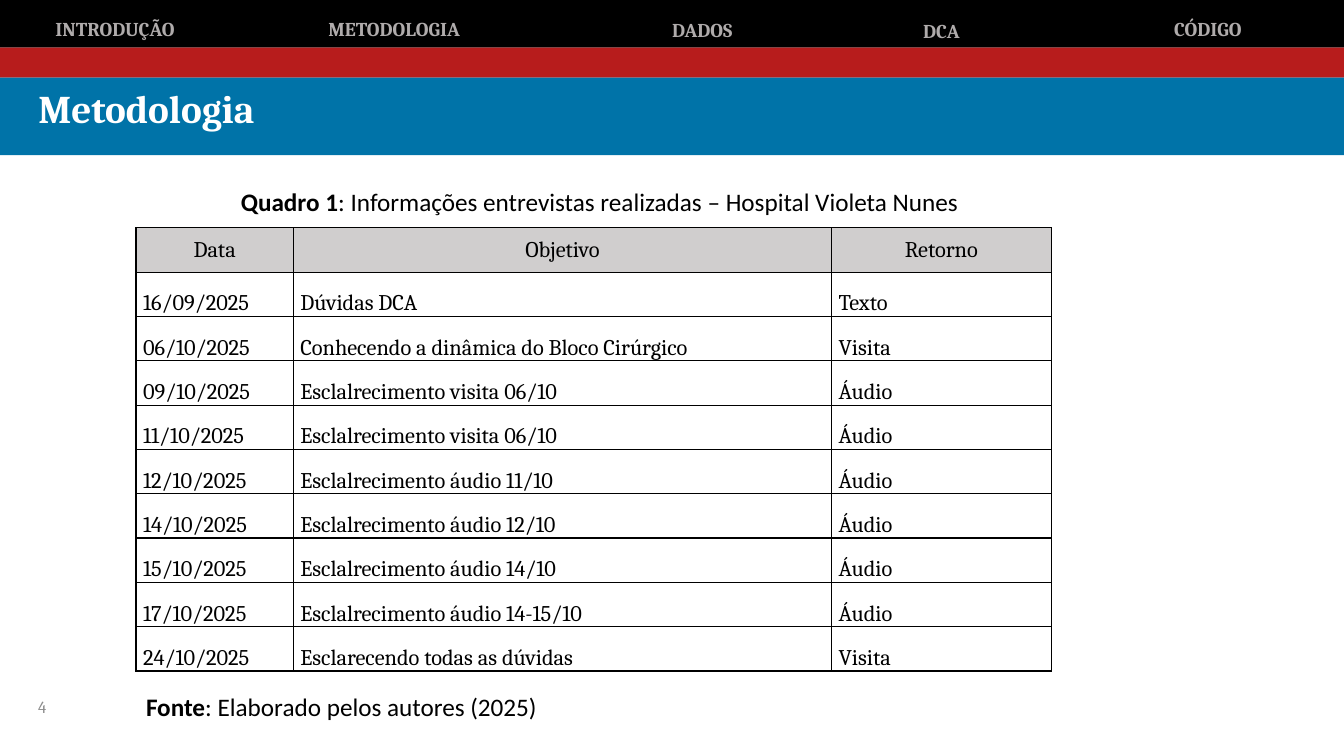
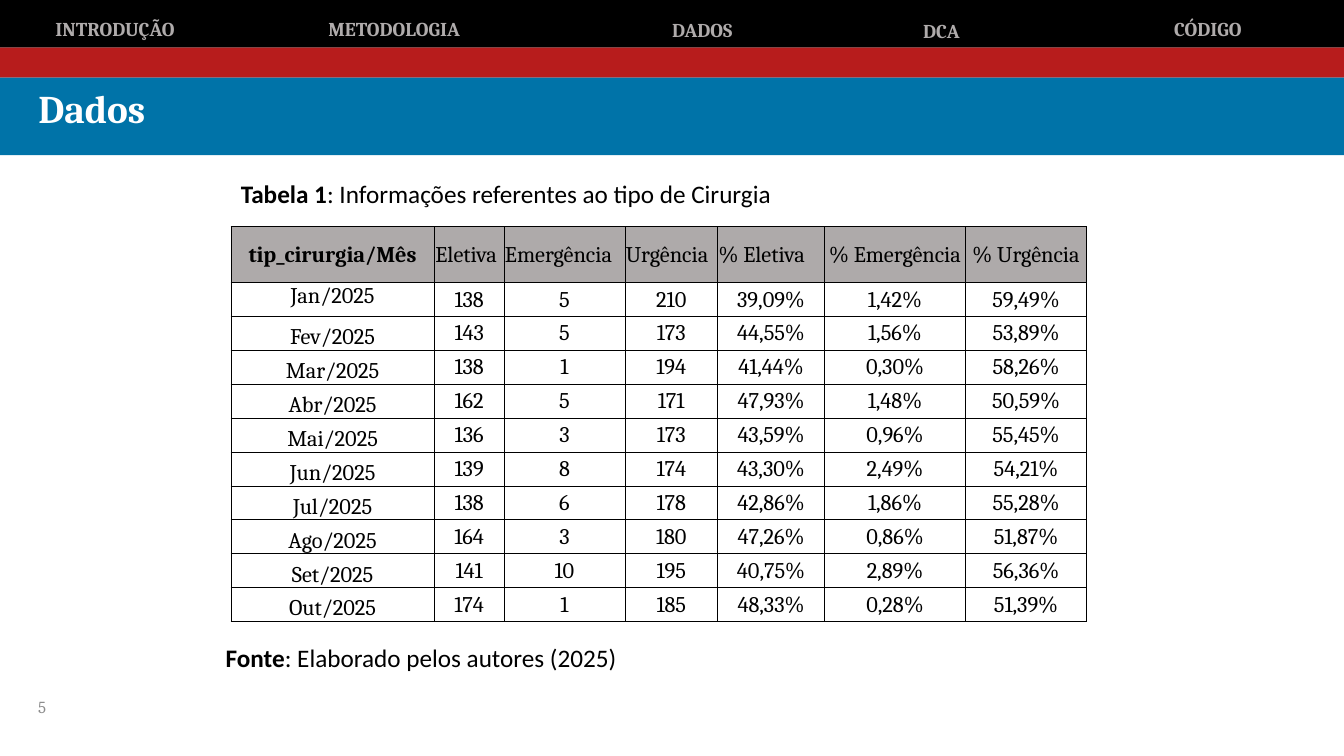
from dataclasses import dataclass

from lxml import etree
from pptx import Presentation
from pptx import util as u
from pptx.dml.color import RGBColor
from pptx.enum import shapes, text
from pptx.oxml import ns

PX = 3048
LEFT, CENTER = text.PP_ALIGN.LEFT, text.PP_ALIGN.CENTER
TOP, MIDDLE, BOTTOM = (text.MSO_ANCHOR.TOP, text.MSO_ANCHOR.MIDDLE,
                       text.MSO_ANCHOR.BOTTOM)


@dataclass(frozen=True)
class Theme:
    """Colours, fonts and type sizes of the deck."""
    black: str = "000000"
    red: str = "B71C1C"
    blue: str = "0073A8"
    white: str = "FFFFFF"
    tab: str = "AFABAB"
    number: str = "8C8C8C"
    light_head: str = "D0CECE"
    dark_head: str = "AEAAAA"
    serif: str = "Cambria"
    sans: str = "Calibri"
    title_size: int = 28
    caption_size: int = 18
    table_size: int = 16
    tab_size: int = 14
    number_size: int = 12


THEME = Theme()

BANDS = [(141, 90, THEME.red), (231, 231, THEME.blue), (0, 141, THEME.black)]
TABS = [
    ("INTRODUÇÃO", 135, 36, 513),
    ("METODOLOGIA", 948, 36, 717),
    ("DADOS", 1971, 39, 339),
    ("DCA", 2718, 42, 339),
    ("CÓDIGO", 3465, 36, 456),
]
INTERVIEWS = [
    ("Data", "Objetivo", "Retorno"),
    ("16/09/2025", "Dúvidas DCA", "Texto"),
    ("06/10/2025", "Conhecendo a dinâmica do Bloco Cirúrgico", "Visita"),
    ("09/10/2025", "Esclalrecimento visita 06/10", "Áudio"),
    ("11/10/2025", "Esclalrecimento visita 06/10", "Áudio"),
    ("12/10/2025", "Esclalrecimento áudio 11/10", "Áudio"),
    ("14/10/2025", "Esclalrecimento áudio 12/10", "Áudio"),
    ("15/10/2025", "Esclalrecimento áudio 14/10", "Áudio"),
    ("17/10/2025", "Esclalrecimento áudio 14-15/10", "Áudio"),
    ("24/10/2025", "Esclarecendo todas as dúvidas", "Visita"),
]
SURGERY_HEAD = ("tip_cirurgia/Mês", "Eletiva", "Emergência", "Urgência",
                "% Eletiva", "% Emergência", "% Urgência")
SURGERIES = {
    "Jan": (138, 5, 210),
    "Fev": (143, 5, 173),
    "Mar": (138, 1, 194),
    "Abr": (162, 5, 171),
    "Mai": (136, 3, 173),
    "Jun": (139, 8, 174),
    "Jul": (138, 6, 178),
    "Ago": (164, 3, 180),
    "Set": (141, 10, 195),
    "Out": (174, 1, 185),
}


def px(*lengths):
    """Turn px lengths into EMU."""
    return [u.Emu(length * PX) for length in lengths]


def write(para, content, size, font=THEME.serif, color=THEME.black,
          bold=False, align=LEFT):
    """Append one formatted run to a paragraph."""
    para.alignment = align
    span = para.add_run()
    span.text = content
    span.font.size = u.Pt(size)
    span.font.name = font
    span.font.bold = bold
    span.font.color.rgb = RGBColor.from_string(color)


def add_band(page, top, height, color):
    """Draw a full-width colour band."""
    band = page.shapes.add_shape(shapes.MSO_SHAPE.RECTANGLE,
                                 *px(0, top, 4000, height))
    band.shadow.inherit = False
    band.fill.solid()
    band.fill.fore_color.rgb = RGBColor.from_string(color)
    band.line.fill.background()
    return band


def add_box(page, place, anchor=TOP):
    """Add a wrapping text box at a left, top, width, height place."""
    box = page.shapes.add_textbox(*px(*place))
    box.text_frame.word_wrap = True
    box.text_frame.vertical_anchor = anchor
    return box


def add_tab(page, label, left, top, width):
    """Add one section label of the top band."""
    box = add_box(page, (left, top, width, 102))
    write(box.text_frame.paragraphs[0], label, THEME.tab_size,
          color=THEME.tab, bold=True)
    return box


def add_caption(page, place, label, content):
    """Add a caption with a bold label."""
    para = add_box(page, place).text_frame.paragraphs[0]
    for piece, bold in ((label, True), (f": {content}", False)):
        write(para, piece, THEME.caption_size, font=THEME.sans, bold=bold)


def place_title(title):
    """Move a title placeholder onto the blue band."""
    title.left, title.top, title.width, title.height = px(84, 252, 2724, 189)


def build_layout(page):
    """Move the shared bands and section labels to the layout of the page."""
    layout = page.slide_layout
    shared = [add_band(page, *band) for band in BANDS]
    shared += [add_tab(page, *tab) for tab in TABS]
    tree = layout.shapes.element
    for number, shape in enumerate(shared, 100):
        shape.element.xpath(".//p:cNvPr")[0].set("id", str(number))
        tree.append(shape.element)
    for holder in layout.placeholders:
        if holder.placeholder_format.idx == 0:
            place_title(holder)


def fill_frame(page, heading, number):
    """Write the title and the page number."""
    title = page.shapes.title
    place_title(title)
    frame = title.text_frame
    frame.word_wrap = True
    frame.auto_size = text.MSO_AUTO_SIZE.NONE
    frame.vertical_anchor = TOP
    para = frame.paragraphs[0]
    para.line_spacing = 0.9
    write(para, heading, THEME.title_size, color=THEME.white, bold=True)
    box = add_box(page, (84, 2043, 900, 120), MIDDLE)
    write(box.text_frame.paragraphs[0], str(number), THEME.number_size,
          color=THEME.number)


def set_borders(cell, points):
    """Draw black lines on the four sides of a cell."""
    props = cell._tc.get_or_add_tcPr()
    for index, side in enumerate(("lnL", "lnR", "lnT", "lnB")):
        line = etree.Element(ns.qn(f"a:{side}"), w=str(u.Pt(points)))
        fill = etree.SubElement(line, ns.qn("a:solidFill"))
        etree.SubElement(fill, ns.qn("a:srgbClr"), val=THEME.black)
        props.insert(index, line)


def add_grid(page, left, top, widths, heights, rows, head, border, insets,
             cell_format):
    """Add a table whose cell_format(row, column) gives anchor, align, bold."""
    place = px(left, top, sum(widths), sum(heights))
    table = page.shapes.add_table(len(rows), len(widths), *place).table
    table.horz_banding = False
    for column, width in zip(table.columns, px(*widths)):
        column.width = width
    for row, height in zip(table.rows, px(*heights)):
        row.height = height
    for r, values in enumerate(rows):
        for c, value in enumerate(values):
            cell = table.cell(r, c)
            (cell.margin_left, cell.margin_top,
             cell.margin_right, cell.margin_bottom) = px(*insets)
            if r == 0:
                cell.fill.solid()
                cell.fill.fore_color.rgb = RGBColor.from_string(head)
            else:
                cell.fill.background()
            set_borders(cell, border)
            cell.vertical_anchor, align, bold = cell_format(r, c)
            write(cell.text_frame.paragraphs[0], value, THEME.table_size,
                  align=align, bold=bold)


def interview_format(row, column):
    """Centre the header and set the other rows at bottom left."""
    return (BOTTOM, LEFT, False) if row else (MIDDLE, CENTER, False)


def surgery_format(row, column):
    """Centre all but four headers and set the months off the middle."""
    if row == 0:
        return MIDDLE, LEFT if 1 <= column <= 4 else CENTER, column == 0
    month_anchor = TOP if row == 1 else BOTTOM
    return MIDDLE if column else month_anchor, CENTER, False


def surgery_rows():
    """Return the header and the months with counts and shares."""
    rows = [SURGERY_HEAD]
    for month, counts in SURGERIES.items():
        shares = [f"{count / sum(counts):.2%}".replace(".", ",")
                  for count in counts]
        rows.append((f"{month}/2025", *map(str, counts), *shares))
    return rows


def build_method(page):
    """Build the page with the interview table."""
    fill_frame(page, "Metodologia", 4)
    add_grid(page, 405, 678, [468, 1602, 654], [132] * len(INTERVIEWS),
             INTERVIEWS, THEME.light_head, 1, (21, 0, 21, 0),
             interview_format)
    add_caption(page, (687, 540, 2334, 120), "Quadro 1",
                "Informações entrevistas realizadas – Hospital Violeta Nunes")
    add_caption(page, (405, 2043, 2334, 120), "Fonte",
                "Elaborado pelos autores (2025)")


def build_data(page):
    """Build the page with the surgery table."""
    fill_frame(page, "Dados", 5)
    add_caption(page, (687, 516, 2334, 120), "Tabela 1",
                "Informações referentes ao tipo de Cirurgia")
    add_caption(page, (642, 1896, 2001, 120), "Fonte",
                "Elaborado pelos autores (2025)")
    add_grid(page, 687, 675, [606, 207, 360, 276, 318, 420, 360],
             [165] + [101] * len(SURGERIES), surgery_rows(),
             THEME.dark_head, 0.5, (3, 3, 3, 0), surgery_format)


def main():
    """Build and save the deck."""
    deck = Presentation()
    deck.slide_width, deck.slide_height = px(4000, 2250)
    layout = deck.slide_layouts[5]
    pages = [deck.slides.add_slide(layout) for _ in range(2)]
    build_layout(pages[0])
    for build, page in zip((build_method, build_data), pages):
        build(page)
    deck.save("out.pptx")


if __name__ == "__main__":
    main()
